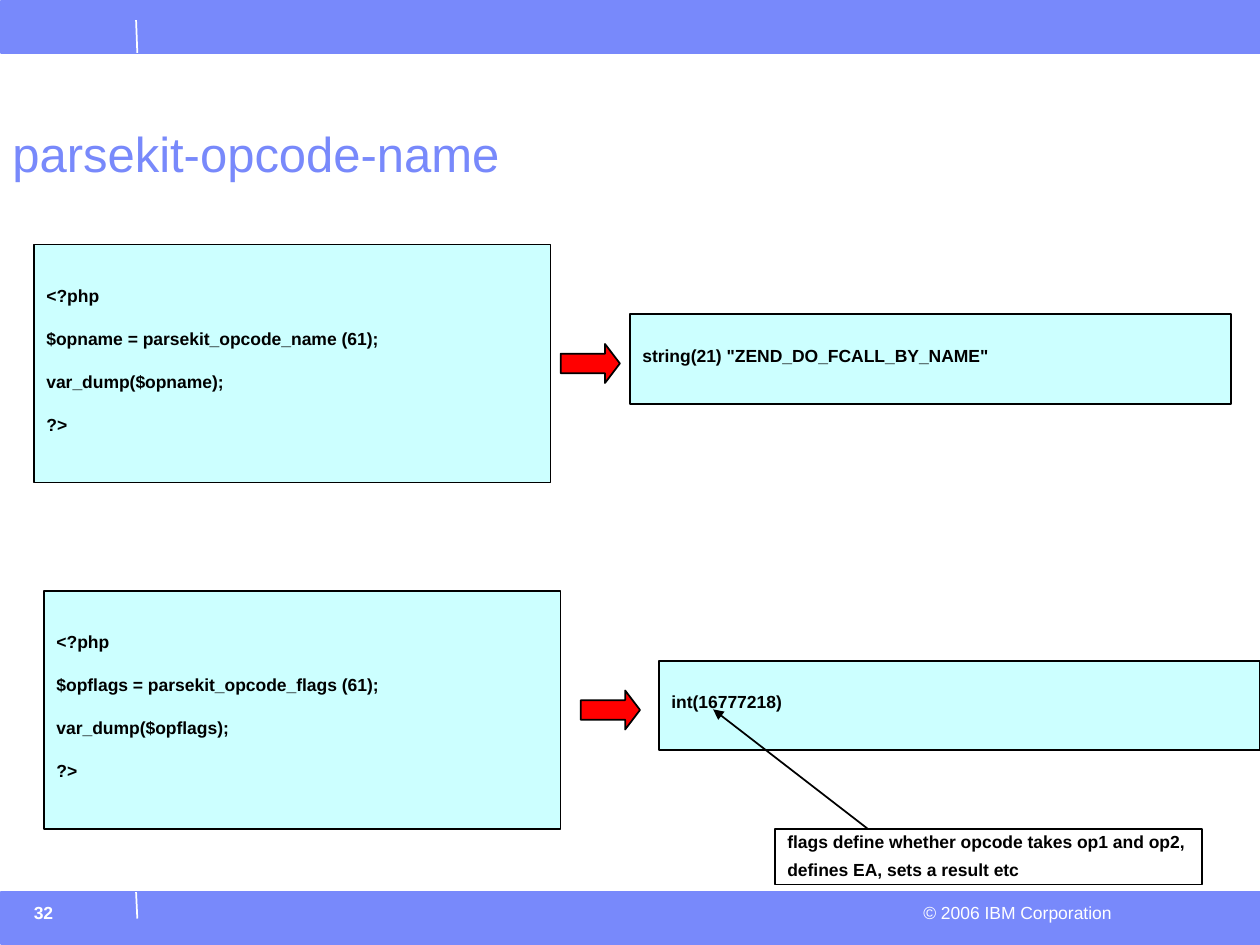
from dataclasses import dataclass

from lxml import etree
from pptx import Presentation
from pptx import util as u
from pptx.dml.color import RGBColor
from pptx.enum import shapes, text
from pptx.oxml.ns import qn


@dataclass(frozen=True)
class Theme:
    brand: RGBColor = RGBColor.from_string("7889FB")
    panel: RGBColor = RGBColor.from_string("CCFFFF")
    arrow: RGBColor = RGBColor.from_string("FF0000")
    ink: RGBColor = RGBColor.from_string("000000")
    paper: RGBColor = RGBColor.from_string("FFFFFF")
    font: str = "Arial"
    title_size: int = 28
    body_size: int = 10


theme = Theme()


def write(box, lines, color=theme.ink, size=theme.body_size, bold=True, spacing=1.0,
          gap=0, align=text.PP_ALIGN.LEFT, anchor=text.MSO_ANCHOR.TOP, wrap=True, grow=False):
    frame = box.text_frame
    frame.word_wrap = wrap
    frame.vertical_anchor = anchor
    frame.auto_size = text.MSO_AUTO_SIZE.SHAPE_TO_FIT_TEXT if grow else text.MSO_AUTO_SIZE.NONE
    for index, line in enumerate(lines):
        para = frame.add_paragraph() if index else frame.paragraphs[0]
        para.alignment = align
        para.line_spacing = spacing
        para.space_before = u.Pt(gap if index else 0)
        span = para.add_run()
        span.text = line
        span.font.name = theme.font
        span.font.size = u.Pt(size)
        span.font.bold = bold
        span.font.color.rgb = color


def draw(kind, left, top, width, height, fill=None, line=theme.ink):
    shape = page.shapes.add_shape(
        kind, u.Inches(left), u.Inches(top), u.Inches(width), u.Inches(height))
    shape.shadow.inherit = False
    if fill is None:
        shape.fill.background()
    else:
        shape.fill.solid()
        shape.fill.fore_color.rgb = fill
    shape.line.color.rgb = line
    shape.line.width = u.Pt(1)
    return shape


deck = Presentation()
deck.slide_width = u.Inches(10)
deck.slide_height = u.Inches(7.5)
page = deck.slides.add_slide(deck.slide_layouts[6])
rectangle = shapes.MSO_SHAPE.RECTANGLE

for top in (0.01, 7.08):
    draw(rectangle, 0.01, top, 9.99, 0.41, theme.brand, theme.brand)

labels = [
    (7.22, 7.11, 1.7, 0.26, "© 2006 IBM Corporation",
     dict(color=theme.paper, bold=False, align=text.PP_ALIGN.RIGHT, wrap=False, grow=True)),
    (0, 0.95, 9.02, 0.55, "parsekit-opcode-name",
     dict(color=theme.brand, size=theme.title_size, bold=False, spacing=0.9,
          anchor=text.MSO_ANCHOR.BOTTOM, wrap=False)),
    (0.17, 7.11, 1.1, 0.35, "32", dict(color=theme.paper)),
]
for left, top, width, height, label, style in labels:
    box = page.shapes.add_textbox(
        u.Inches(left), u.Inches(top), u.Inches(width), u.Inches(height))
    write(box, [label], **style)

examples = [
    (1.94, 0.27, 4.45, 5, "opname", "name", 'string(21) "ZEND_DO_FCALL_BY_NAME"'),
    (4.69, 0.35, 4.61, 5.23, "opflags", "flags", "int(16777218)"),
]
for top, code_left, arrow_left, result_left, variable, suffix, result in examples:
    code = [
        "<?php",
        f"${variable} = parsekit_opcode_{suffix} (61);",
        f"var_dump(${variable});",
        "?>",
    ]
    code_box = draw(rectangle, code_left, top, 4.1, 1.89, theme.panel)
    write(code_box, code, spacing=0.5, gap=18.6, anchor=text.MSO_ANCHOR.MIDDLE)
    result_box = draw(rectangle, result_left, top + 0.555, 4.77, 0.71, theme.panel)
    write(result_box, [result], spacing=0.5, anchor=text.MSO_ANCHOR.MIDDLE)
    arrow = draw(shapes.MSO_SHAPE.RIGHT_ARROW, arrow_left, top + 0.79, 0.47, 0.31, theme.arrow)
    arrow.adjustments[0] = 0.5
    arrow.adjustments[1] = 0.38

note = draw(rectangle, 6.15, 6.58, 3.39, 0.44)
write(note, ["flags define whether opcode takes op1 and op2,", "defines EA, sets a result etc"],
      spacing=0.8, gap=6.2, grow=True)

lines = [
    (1.08, 0.16, 1.09, 0.42, theme.paper, False),
    (1.08, 7.08, 1.09, 7.29, theme.paper, False),
    (6.89, 6.58, 5.66, 5.63, theme.ink, True),
]
for start_x, start_y, end_x, end_y, color, pointed in lines:
    line = page.shapes.add_connector(
        shapes.MSO_CONNECTOR.STRAIGHT,
        u.Inches(start_x), u.Inches(start_y), u.Inches(end_x), u.Inches(end_y))
    line.line.color.rgb = color
    line.line.width = u.Pt(1)
    if pointed:
        etree.SubElement(line.line._get_or_add_ln(), qn("a:tailEnd"), type="triangle")
    etree.SubElement(line._element.spPr, qn("a:effectLst"))

deck.save("out.pptx")
